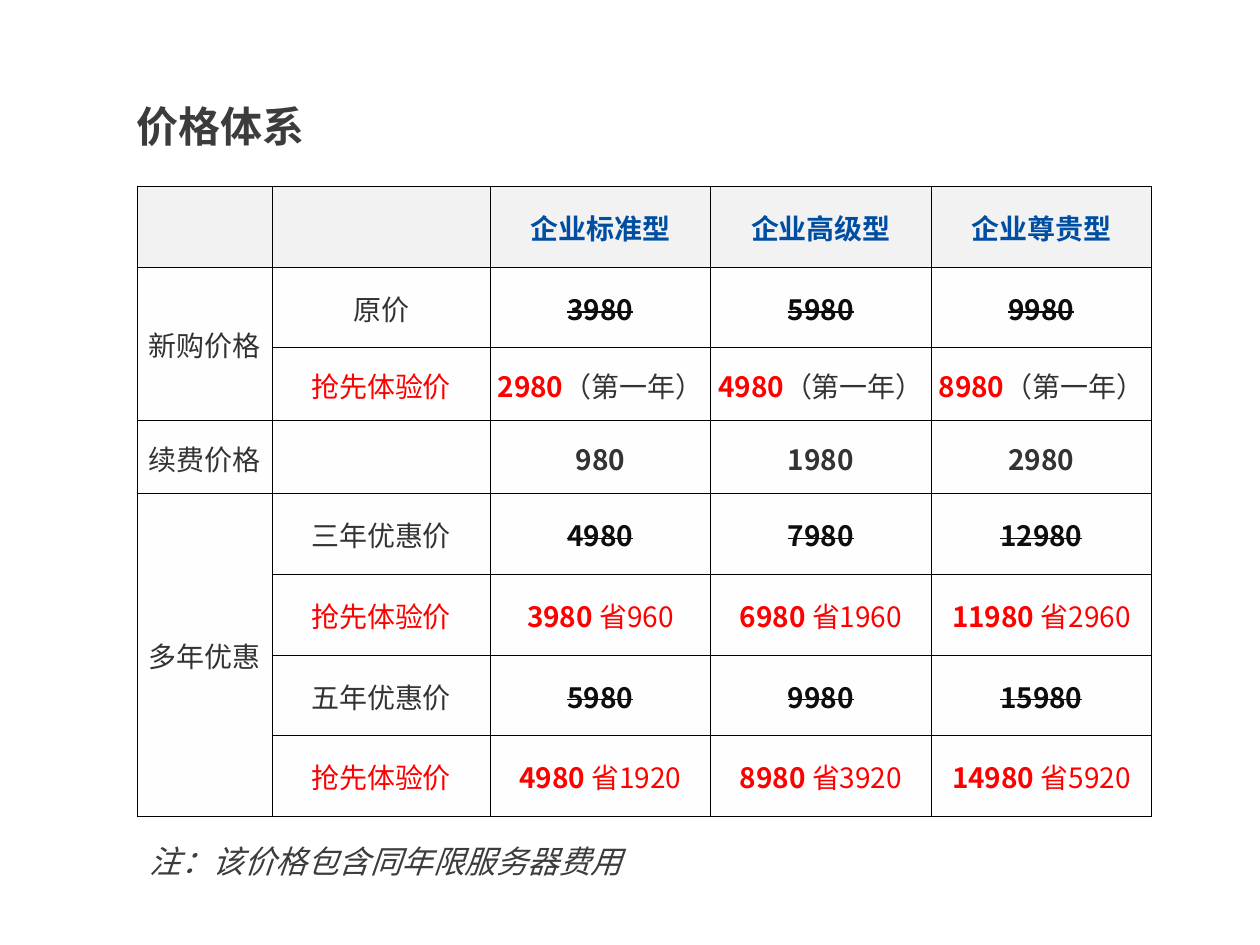
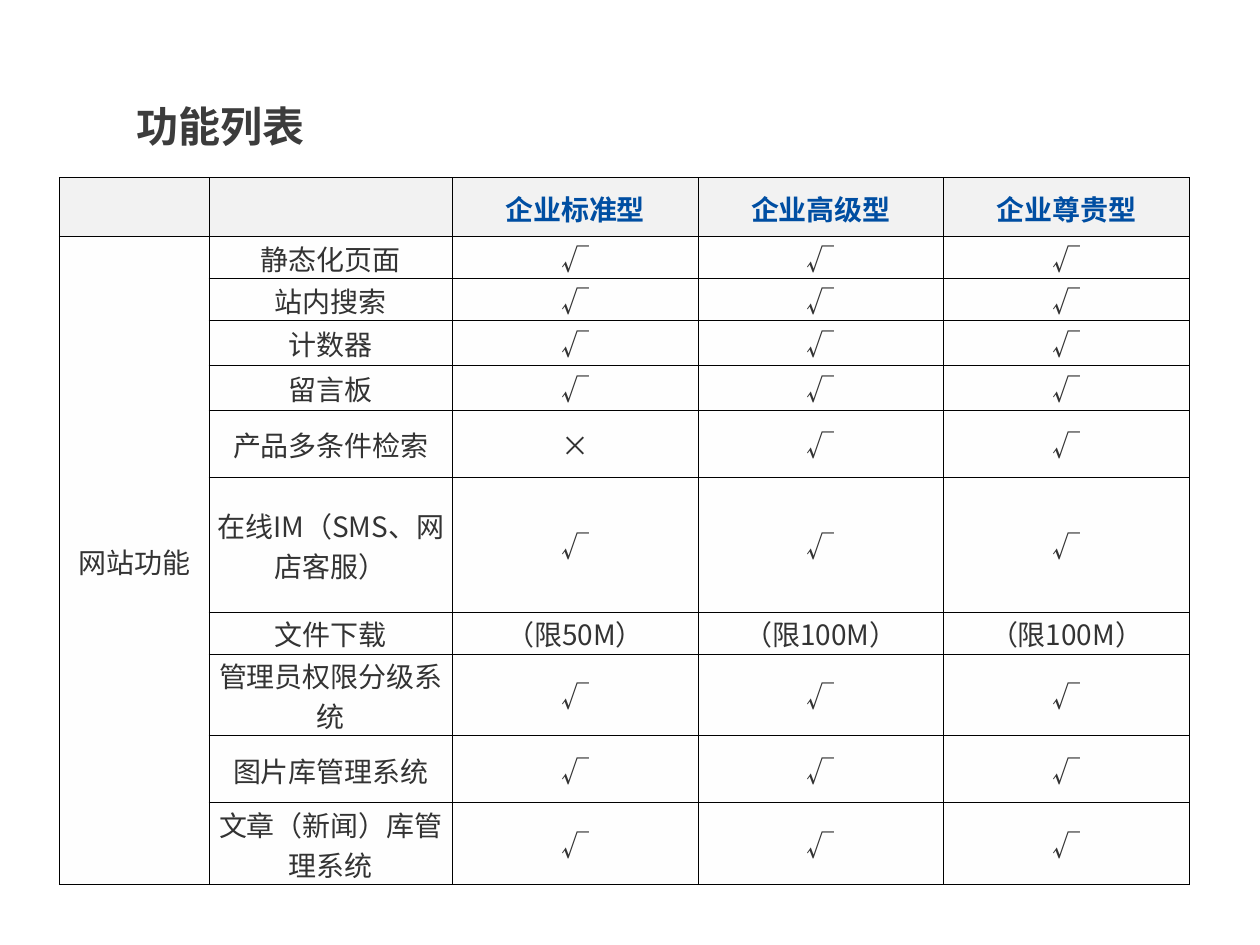
from pptx import Presentation
from pptx.dml.color import RGBColor
from pptx.enum.text import MSO_ANCHOR as Anchor, PP_ALIGN as Align
from pptx.oxml.ns import qn
from pptx.util import Inches, Pt
from lxml.etree import SubElement

FONT = "Noto Sans CJK SC"
W, H = 10, 7.5
PLANS = ["企业标准型", "企业高级型", "企业尊贵型"]
HEAD_FILL, BODY_FILL, BORDER = "F2F2F2", "FEFEFE", "000000"

# Text styles
TITLE = dict(size=24, color="3C3C3C", bold=True)
NOTE = dict(size=18, color="3C3C3C", italic=True)
PLAN = dict(size=16, color="004EA2", bold=True)
PLAIN = dict(size=16, color="333333", bold=False)
STRONG = dict(PLAIN, bold=True)
STRUCK = dict(size=16, color="0D0D0D", bold=True, strike=True)
OFFER = dict(size=16, color="FF0000", bold=False)
OFFER_PRICE = dict(OFFER, bold=True)


def rgb(hex_color):
    return RGBColor.from_string(hex_color)


def add_run(p, text, style):
    r = p.add_run()
    r.text = text
    for name, value in dict(name=FONT, bold=style.get("bold"),
                            italic=style.get("italic"), size=Pt(style["size"])).items():
        setattr(r.font, name, value)
    r.font.color.rgb = rgb(style["color"])
    rPr = r.font._element
    if style.get("strike"):
        rPr.set("strike", "sngStrike")
    SubElement(rPr, qn("a:ea")).set("typeface", FONT)


def set_borders(cell):
    tcPr = cell._tc.get_or_add_tcPr()
    for i, side in enumerate(("lnL", "lnR", "lnT", "lnB")):
        ln = tcPr.makeelement(qn(f"a:{side}"), {"w": str(Pt(0.5))})
        fill = SubElement(ln, qn("a:solidFill"))
        SubElement(fill, qn("a:srgbClr")).set("val", BORDER)
        tcPr.insert(i, ln)


def fill_cell(cell, runs, fill):
    for name, value in dict(margin_left=Inches(0.01), margin_right=Inches(0.01),
                            margin_top=Inches(0.01), margin_bottom=0,
                            vertical_anchor=Anchor.MIDDLE).items():
        setattr(cell, name, value)
    cell.fill.solid()
    cell.fill.fore_color.rgb = rgb(fill)
    set_borders(cell)
    p = cell.text_frame.paragraphs[0]
    p.alignment = Align.CENTER
    for text, style in runs:
        add_run(p, text, style)


def add_plan_table(s, left, top, label_widths, plan_width, heights, body):
    """Draw a table by plan; a row whose first cell is None joins the group above."""
    widths = [*label_widths, *[plan_width] * len(PLANS)]
    rows = [[[], [], *[[(plan, PLAN)] for plan in PLANS]], *body]
    table = s.shapes.add_table(len(rows), len(widths), Inches(left), Inches(top),
                               Inches(sum(widths)), Inches(sum(heights))).table
    table.first_row = table.horz_banding = False
    for column, width in zip(table.columns, widths):
        column.width = Inches(width)
    for row, height in zip(table.rows, heights):
        row.height = Inches(height)
    for i, row in enumerate(rows):
        for j, runs in enumerate(row):
            fill_cell(table.cell(i, j), runs or [], BODY_FILL if i else HEAD_FILL)
    # Merge each group label down to the row before the next label
    starts = [i for i, row in enumerate(rows) if row[0] is not None] + [len(rows)]
    for start, end in zip(starts, starts[1:]):
        if end - start > 1:
            table.cell(start, 0).merge(table.cell(end - 1, 0))


def add_titled_slide(prs, title):
    s = prs.slides.add_slide(prs.slide_layouts[5])
    sp = s.shapes.title
    for name, value in dict(left=0.98, top=0.6, width=5.59, height=0.79).items():
        setattr(sp, name, Inches(value))
    sp.text_frame.vertical_anchor = Anchor.MIDDLE
    p = sp.text_frame.paragraphs[0]
    p.alignment = Align.LEFT
    add_run(p, title, TITLE)
    return s


def add_note(s, text):
    sp = s.shapes.add_textbox(Inches(1.09), Inches(6.63), Inches(5.08), Inches(0.4))
    sp.text_frame.word_wrap = True
    add_run(sp.text_frame.paragraphs[0], text, NOTE)


def price_row(group, label, prices, style):
    return [group and [(group, PLAIN)], [(label, PLAIN)] if label else [],
            *[[(price, style)] for price in prices]]


def offer_row(prices, extras, extra_style):
    return [None, [("抢先体验价", OFFER)],
            *[[(price, OFFER_PRICE), (extra, extra_style)]
              for price, extra in zip(prices, extras)]]


def saving_row(prices, savings):
    return offer_row(prices, [f" 省{saving}" for saving in savings], OFFER)


def build_prices(prs):
    s = add_titled_slide(prs, "价格体系")
    body = [
        price_row("新购价格", "原价", ["3980", "5980", "9980"], STRUCK),
        offer_row(["2980", "4980", "8980"], ["（第一年）"] * 3, PLAIN),
        price_row("续费价格", "", ["980", "1980", "2980"], STRONG),
        price_row("多年优惠", "三年优惠价", ["4980", "7980", "12980"], STRUCK),
        saving_row(["3980", "6980", "11980"], [960, 1960, 2960]),
        price_row(None, "五年优惠价", ["5980", "9980", "15980"], STRUCK),
        saving_row(["4980", "8980", "14980"], [1920, 3920, 5920]),
    ]
    heights = [0.64] * 2 + [0.58] * 2 + [0.64] * 4
    add_plan_table(s, 1.09, 1.48, [1.07, 1.73], 1.75, heights, body)
    add_note(s, "注：该价格包含同年限服务器费用")


def build_features(prs):
    s = add_titled_slide(prs, "功能列表")
    yes = ["√"] * 3
    features = [  # label, value per plan, row height
        ("静态化页面", yes, 0.32),
        ("站内搜索", yes, 0.32),
        ("计数器", yes, 0.36),
        ("留言板", yes, 0.36),
        ("产品多条件检索", ["×", "√", "√"], 0.53),
        ("在线IM（SMS、网店客服）", yes, 1.07),
        ("文件下载", ["（限50M）", "（限100M）", "（限100M）"], 0.27),
        ("管理员权限分级系统", yes, 0.53),
        ("图片库管理系统", yes, 0.53),
        ("文章（新闻）库管理系统", yes, 0.53),
    ]
    body = [price_row(None if i else "网站功能", label, values, PLAIN)
            for i, (label, values, _) in enumerate(features)]
    heights = [0.47] + [height for *_, height in features]
    add_plan_table(s, 0.47, 1.41, [1.19, 1.93], 1.95, heights, body)


def main():
    prs = Presentation()
    prs.slide_width, prs.slide_height = Inches(W), Inches(H)
    build_prices(prs)
    build_features(prs)
    prs.save("out.pptx")


if __name__ == "__main__":
    main()
